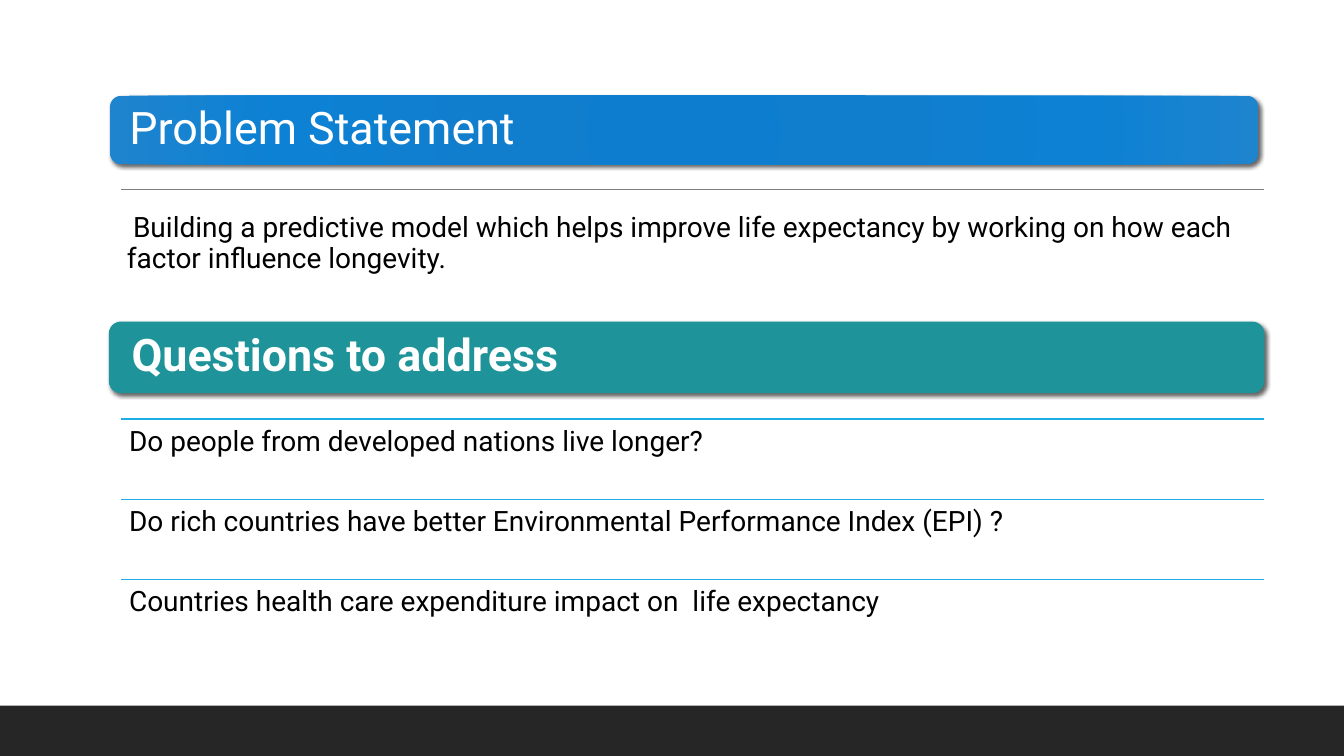
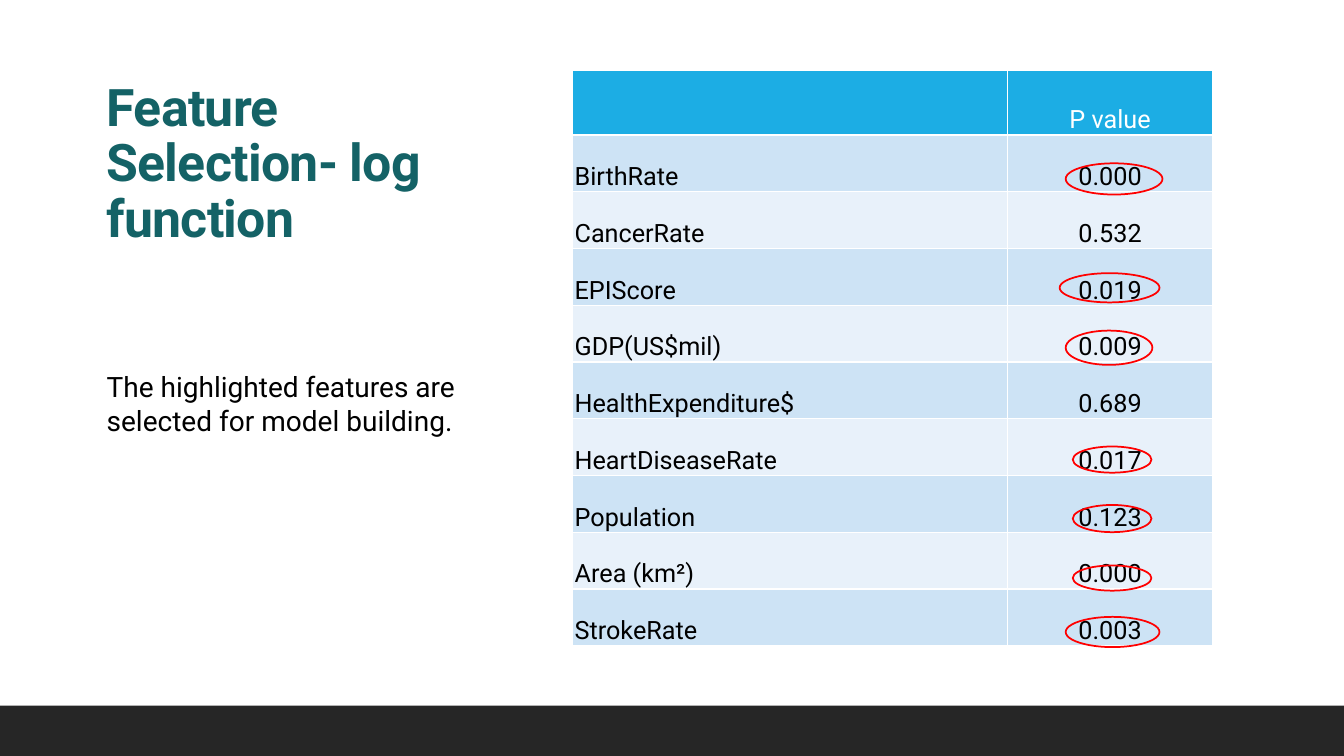
from lxml import etree
from pptx import Presentation
from pptx.dml.color import RGBColor
from pptx.enum.shapes import MSO_CONNECTOR as Line, MSO_SHAPE as Shape
from pptx.enum.text import MSO_ANCHOR as Anchor, PP_ALIGN as Align
from pptx.oxml import parse_xml
from pptx.oxml.ns import nsdecls, qn
from pptx.util import Inches, Pt

FONT = "Roboto"
COLORS = {
    "band": "262626", "teal": "1E9399", "title": "146266", "cyan": "1CADE4",
    "rule": "7F7F7F", "odd_row": "CDE3F5", "even_row": "E8F1FA",
    "mark": "FF0000", "white": "FFFFFF", "black": "000000",
}
RGB = {name: RGBColor.from_string(value) for name, value in COLORS.items()}
BLUE_STOPS = [(0, "0D7ECF"), (34, "117ECD"), (70, "0D81D4"), (100, "1E84CE")]


def write(frame, text, size, color="black", bold=False, spacing=None,
          anchor=Anchor.TOP, insets=(0.1, 0.05, 0.1, 0.05)):
    """Fill a text frame with one styled run and return its paragraph."""
    frame.word_wrap = True
    frame.vertical_anchor = anchor
    (frame.margin_left, frame.margin_top,
     frame.margin_right, frame.margin_bottom) = map(Inches, insets)
    paragraph = frame.paragraphs[0]
    paragraph.alignment = Align.LEFT
    paragraph.line_spacing = spacing
    run = paragraph.add_run()
    run.text = text
    run.font.name, run.font.size, run.font.bold = FONT, Pt(size), bold
    run.font.color.rgb = RGB[color]
    return paragraph


def add_rule(slide, y, color, width):
    """Draw a horizontal rule across the content area."""
    rule = slide.shapes.add_connector(
        Line.STRAIGHT, Inches(1.2), Inches(y), Inches(12.54), Inches(y))
    rule.line.color.rgb = RGB[color]
    rule.line.width = Pt(width)
    etree.SubElement(rule._element.spPr, qn("a:effectLst"))


prs = Presentation()
prs.slide_width, prs.slide_height = Inches(13.33), Inches(7.5)
problem, features = [prs.slides.add_slide(prs.slide_layouts[6]) for _ in range(2)]

# Footer band on every slide
for slide in (problem, features):
    band = slide.shapes.add_shape(
        Shape.RECTANGLE, 0, Inches(7), prs.slide_width, Inches(0.5))
    band.shadow.inherit = False
    band.fill.solid()
    band.fill.fore_color.rgb = RGB["band"]
    band.line.fill.background()

# Slide 1: heading bars
headings = []
for text, bold, left, top, width, height, inset in [
    ("Problem Statement", False, 1.09, 0.95, 11.39, 0.68, 0.16),
    ("Questions to address", True, 1.08, 3.19, 11.46, 0.71, 0.19),
]:
    heading = problem.shapes.add_shape(
        Shape.ROUNDED_RECTANGLE, Inches(left), Inches(top), Inches(width), Inches(height))
    heading.fill.solid()
    heading.fill.fore_color.rgb = RGB["teal"]
    heading.line.fill.background()
    heading._element.spPr.append(parse_xml(
        f'<a:effectLst {nsdecls("a")}><a:outerShdw blurRad="{Pt(3)}" dist="{Pt(2)}" '
        f'dir="2700000" algn="tl" rotWithShape="0"><a:srgbClr val="{COLORS["black"]}">'
        '<a:alpha val="60000"/></a:srgbClr></a:outerShdw></a:effectLst>'))
    write(heading.text_frame, text, 32, "white", bold, 0.9, Anchor.MIDDLE,
          (inset, 0.1, 0.13, 0.1))
    headings.append(heading)

# Radial blue gradient on the first heading
stops = "".join(f'<a:gs pos="{pos * 1000}"><a:srgbClr val="{value}"/></a:gs>'
                for pos, value in BLUE_STOPS)
problem_pr = headings[0]._element.spPr
problem_pr.replace(problem_pr.find(qn("a:solidFill")), parse_xml(
    f'<a:gradFill {nsdecls("a")} rotWithShape="1"><a:gsLst>{stops}</a:gsLst>'
    '<a:path path="circle"><a:fillToRect l="100000" t="100000" r="100000" b="100000"/>'
    '</a:path></a:gradFill>'))

# Problem statement
add_rule(problem, 1.88, "rule", 0.75)
statement = problem.shapes.add_textbox(
    Inches(1.26), Inches(2.12), Inches(11.07), Inches(0.65))
statement_text = write(
    statement.text_frame,
    "Building a predictive model which helps improve life expectancy by working on "
    "how each factor influence longevity.", 20, spacing=0.9, insets=(0, 0, 0, 0))
statement_text._p.get_or_add_pPr().set("indent", str(Inches(0.06)))

# Questions, each under a rule
QUESTION_TOP, QUESTION_STEP = 4.16, 0.795
for i, text in enumerate([
    "Do people from developed nations live longer?",
    "Do rich countries have better Environmental Performance Index (EPI) ?",
    "Countries health care expenditure impact on  life expectancy",
]):
    top = QUESTION_TOP + i * QUESTION_STEP
    add_rule(problem, top, "cyan", 1.25)
    question = problem.shapes.add_textbox(
        Inches(1.2), Inches(top), Inches(11.34), Inches(QUESTION_STEP))
    write(question.text_frame, text, 20, spacing=0.9, insets=(0.08,) * 4)

# Slide 2: title and note
title = features.shapes.add_textbox(Inches(0.96), Inches(0.69), Inches(3.47), Inches(1.83))
title_text = write(title.text_frame, "Feature Selection- log function", 37, "title",
                   True, 0.9, Anchor.BOTTOM)
title_text.runs[0]._r.get_or_add_rPr().set("spc", "-50")
note = features.shapes.add_textbox(Inches(0.96), Inches(3.62), Inches(3.96), Inches(0.77))
write(note.text_frame,
      "The highlighted features are selected for model building.", 20)

# P value table
P_VALUES = [
    ("", "P value"),
    ("BirthRate", "0.000"),
    ("CancerRate", "0.532"),
    ("EPIScore", "0.019"),
    ("GDP(US$mil)", "0.009"),
    ("HealthExpenditure$", "0.689"),
    ("HeartDiseaseRate", "0.017"),
    ("Population", "0.123"),
    ("Area (km²)", "0.000"),
    ("StrokeRate", "0.003"),
]
TABLE_HEIGHT, HEADER_HEIGHT = 5.71, 0.64
row_height = (TABLE_HEIGHT - HEADER_HEIGHT) / (len(P_VALUES) - 1)
p_table = features.shapes.add_table(
    len(P_VALUES), 2, Inches(5.68), Inches(0.7), Inches(6.35), Inches(TABLE_HEIGHT)).table
p_table.columns[0].width, p_table.columns[1].width = Inches(4.31), Inches(2.04)
for r, values in enumerate(P_VALUES):
    p_table.rows[r].height = Inches(row_height if r else HEADER_HEIGHT)
    fill = "cyan" if r == 0 else "odd_row" if r % 2 else "even_row"
    for c, value in enumerate(values):
        cell = p_table.cell(r, c)
        cell_pr = cell._tc.get_or_add_tcPr()
        for side in ("lnL", "lnR", "lnT", "lnB"):
            cell_pr.append(parse_xml(
                f'<a:{side} {nsdecls("a")} w="{Pt(1)}"><a:solidFill>'
                f'<a:srgbClr val="{COLORS["white"]}"/></a:solidFill></a:{side}>'))
        cell.fill.solid()
        cell.fill.fore_color.rgb = RGB[fill]
        cell.vertical_anchor = Anchor.BOTTOM
        cell.margin_left = cell.margin_right = cell.margin_top = Inches(0.02)
        cell.margin_bottom = 0
        if value:
            paragraph = cell.text_frame.paragraphs[0]
            paragraph.alignment = Align.CENTER if c else Align.LEFT
            run = paragraph.add_run()
            run.text = value
            run.font.name, run.font.size, run.font.bold = FONT, Pt(18), False
            run.font.color.rgb = RGB["black" if r else "white"]

# Rings around the selected values
for left, top, width, height in [
    (10.57, 1.62, 0.96, 0.31),
    (10.51, 2.71, 0.99, 0.29),
    (10.57, 3.28, 0.86, 0.34),
    (10.64, 4.43, 0.78, 0.26),
    (10.64, 5.01, 0.78, 0.27),
    (10.64, 5.61, 0.78, 0.25),
    (10.57, 6.12, 0.93, 0.3),
]:
    ring = features.shapes.add_shape(
        Shape.OVAL, Inches(left), Inches(top), Inches(width), Inches(height))
    ring.shadow.inherit = False
    ring.fill.background()
    ring.line.color.rgb = RGB["mark"]
    ring.line.width = Pt(1.25)

prs.save("out.pptx")
